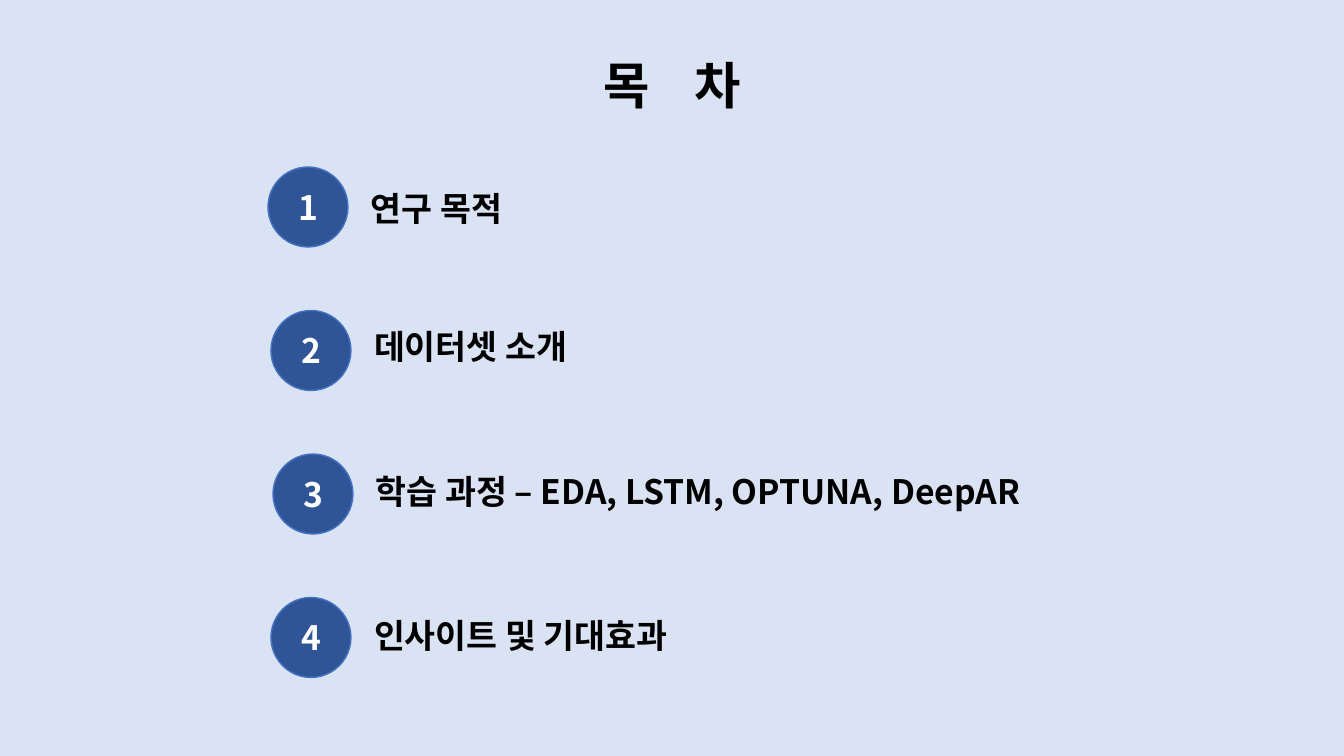
from pptx import Presentation
from pptx.dml.color import RGBColor
from pptx.enum.shapes import MSO_SHAPE as Shape
from pptx.enum.text import MSO_ANCHOR as Anchor, PP_ALIGN as Align
from pptx.util import Pt

PX = 9071  # EMU in one px
FONT = "Noto Sans CJK KR"
BACK, DISC, EDGE = "DAE3F3", "2F5597", "4472C4"
BLACK, WHITE = "000000", "FFFFFF"

TITLE = ["목", " ", "차"]
GAP = 2400  # extra width of the title's space, in 1/100 pt
# label, disc left, label top below disc top, label width
ITEMS = [
    ("연구 목적", 268, 16, 410),
    ("데이터셋 소개", 271, 11, 410),
    ("학습 과정 – EDA, LSTM, OPTUNA, DeepAR", 273, 12, 705),
    ("인사이트 및 기대효과", 271, 13, 520),
]
TOP, STEP, SIZE = 167, 143.5, 80
INDENT, HIGH = 98, 50


def color(code):
    return RGBColor.from_string(code)


def write(shape, parts, size, code, align):
    """Put the parts, one run each, into the shape; return the runs."""
    frame = shape.text_frame
    look = dict(margin_left=5 * PX, margin_right=5 * PX, margin_top=0,
                margin_bottom=0, word_wrap=True, vertical_anchor=Anchor.MIDDLE)
    for key, value in look.items():
        setattr(frame, key, value)
    para = frame.paragraphs[0]
    para.alignment = align
    runs = []
    for part in parts:
        run = para.add_run()
        run.text = part
        for key, value in dict(name=FONT, size=Pt(size), bold=True).items():
            setattr(run.font, key, value)
        run.font.color.rgb = color(code)
        props = run._r.get_or_add_rPr()
        east = props.makeelement(
            "{http://schemas.openxmlformats.org/drawingml/2006/main}ea",
            {"typeface": FONT})
        props.find("{*}latin").addnext(east)
        runs.append(run)
    return runs


def place(*box):
    return [round(side * PX) for side in box]


deck = Presentation()
deck.slide_width, deck.slide_height = place(1344, 756)
slide = deck.slides.add_slide(deck.slide_layouts[6])
slide.background.fill.solid()
slide.background.fill.fore_color.rgb = color(BACK)
shapes = slide.shapes

title = shapes.add_textbox(*place(560, 48, 224, 72))
space = write(title, TITLE, 36, BLACK, Align.CENTER)[1]
space._r.get_or_add_rPr().set("spc", str(GAP))

for row, (label, left, drop, width) in enumerate(ITEMS):
    top = TOP + row * STEP
    disc = shapes.add_shape(Shape.OVAL, *place(left, top, SIZE, SIZE))
    disc.shadow.inherit = False
    disc.fill.solid()
    disc.fill.fore_color.rgb = color(DISC)
    disc.line.color.rgb = color(EDGE)
    disc.line.width = Pt(1)
    write(disc, [str(row + 1)], 24, WHITE, Align.CENTER)
    text = shapes.add_textbox(*place(left + INDENT, top + drop, width, HIGH))
    write(text, [label], 24, BLACK, Align.LEFT)

deck.save("out.pptx")
